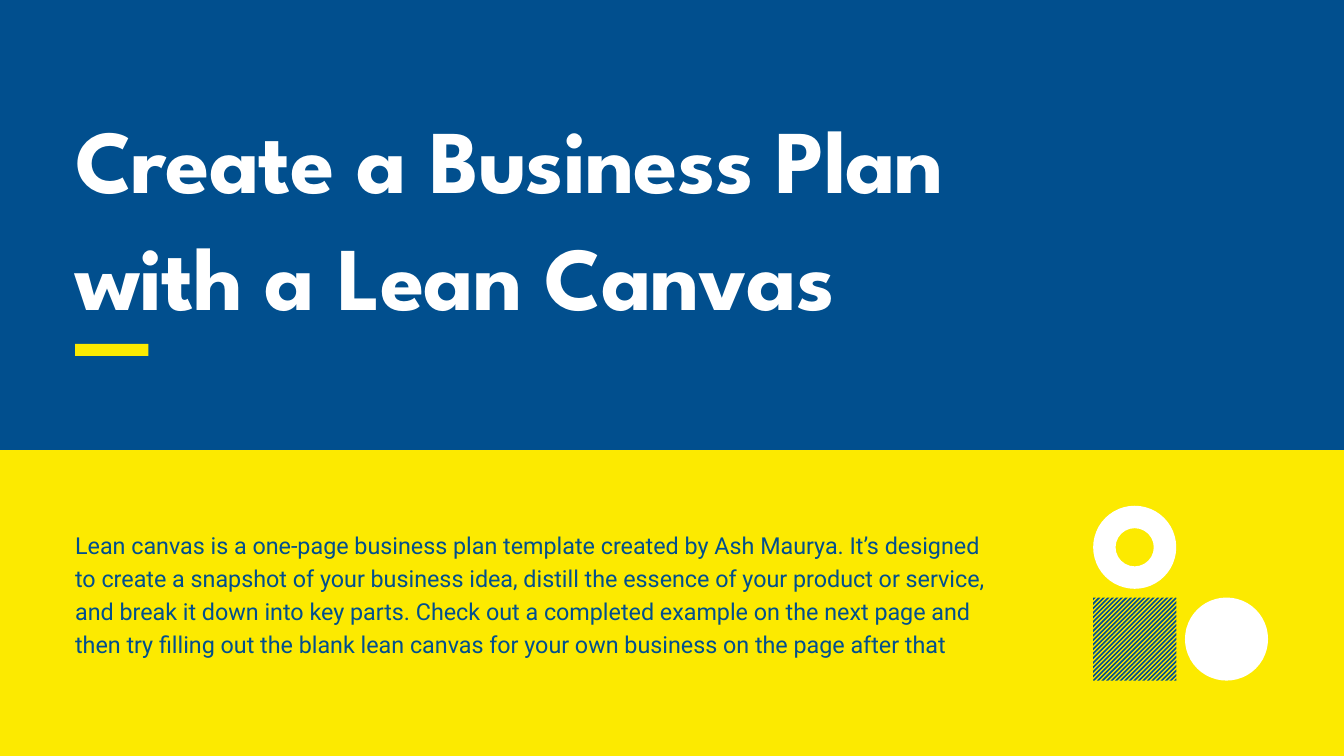
from dataclasses import dataclass

from pptx import Presentation
from pptx import util as u
from pptx.dml.color import RGBColor
from pptx.enum import shapes, text


@dataclass(frozen=True)
class Theme:
    blue: str = "014F8E"
    yellow: str = "FCEA00"
    white: str = "FFFFFF"
    head: str = "League Spartan"
    body: str = "Roboto"
    big: float = 96
    small: float = 25
    tall: float = 124.8
    line: float = 35.5


THEME = Theme()
WIDE, HIGH = 50.8, 28.58
LEFT = 2.84
TITLE = "Create a Business Plan with a Lean Canvas"
INTRO = (
    "Lean canvas is a one-page business plan template created by Ash Maurya. "
    "It’s designed to create a snapshot of your business idea, distill the "
    "essence of your product or service, and break it down into key parts. "
    "Check out a completed example on the next page and then try filling out "
    "the blank lean canvas for your own business on the page after that"
)


def paint(shape, color):
    shape.shadow.inherit = False
    shape.fill.solid()
    shape.fill.fore_color.rgb = RGBColor.from_string(color)
    shape.line.fill.background()


def add_form(parent, kind, box, color):
    form = parent.shapes.add_shape(kind, *map(u.Cm, box))
    paint(form, color)
    return form


def add_copy(parent, box, words, face, size, color, pitch, bold=False):
    frame = parent.shapes.add_textbox(*map(u.Cm, box)).text_frame
    frame.word_wrap = True
    frame.auto_size = text.MSO_AUTO_SIZE.SHAPE_TO_FIT_TEXT
    frame.margin_left = frame.margin_right = 0
    frame.margin_top = frame.margin_bottom = 0
    para = frame.paragraphs[0]
    para.line_spacing = u.Pt(pitch)
    run = para.add_run()
    run.text = words
    run.font.name = face
    run.font.size = u.Pt(size)
    run.font.bold = bold
    run.font.color.rgb = RGBColor.from_string(color)
    return run


def cut_band(start, end, side):
    cuts = [start, side, end] if start < side < end else [start, end]
    ends = [(min(c, side), max(0, c - side)) for c in cuts]
    return ends + [(y, x) for x, y in reversed(ends)]


def add_hatch(parent, left, top, side, count, color):
    step = 2 * side / (count - 0.4)
    bands = [cut_band(i * step, min((i + 0.5) * step, 2 * side), side)
             for i in range(count)]
    paths = [[(u.Cm(left + x), u.Cm(top + y)) for x, y in band]
             for band in bands]
    pen = parent.shapes.build_freeform(*paths[0][0])
    for path in paths:
        pen.move_to(*path[0])
        pen.add_line_segments(path[1:])
    hatch = pen.convert_to_shape()
    hatch.rotation = 180
    paint(hatch, color)


def add_title(slide):
    group = slide.shapes.add_group_shape()
    add_form(group, shapes.MSO_SHAPE.RECTANGLE, (LEFT, 13, 2.77, 0.46),
             THEME.yellow)
    run = add_copy(group, (LEFT, 3.6, 39.17, 8.58), TITLE, THEME.head,
                   THEME.big, THEME.white, THEME.tall, True)
    run.font._element.set("spc", "-100")


def add_motif(slide):
    group = slide.shapes.add_group_shape()
    left, top, side, pitch = 41.32, 19.12, 3.14, 3.47
    ring = add_form(group, shapes.MSO_SHAPE.DONUT, (left, top, side, side),
                    THEME.white)
    ring.adjustments[0] = 0.27
    add_hatch(group, left, top + pitch, side, 37, THEME.blue)
    add_form(group, shapes.MSO_SHAPE.OVAL,
             (left + pitch, top + pitch, side, side), THEME.white)


def main():
    deck = Presentation()
    deck.slide_width, deck.slide_height = u.Cm(WIDE), u.Cm(HIGH)
    slide = deck.slides.add_slide(deck.slide_layouts[6])
    back = slide.background.fill
    back.solid()
    back.fore_color.rgb = RGBColor.from_string(THEME.blue)
    split = 17.02
    add_form(slide, shapes.MSO_SHAPE.RECTANGLE,
             (0, split, WIDE, HIGH - split), THEME.yellow)
    add_title(slide)
    add_copy(slide, (LEFT, 19.89, 35.15, 4.93), INTRO, THEME.body,
             THEME.small, THEME.blue, THEME.line)
    add_motif(slide)
    deck.save("out.pptx")


if __name__ == "__main__":
    main()
